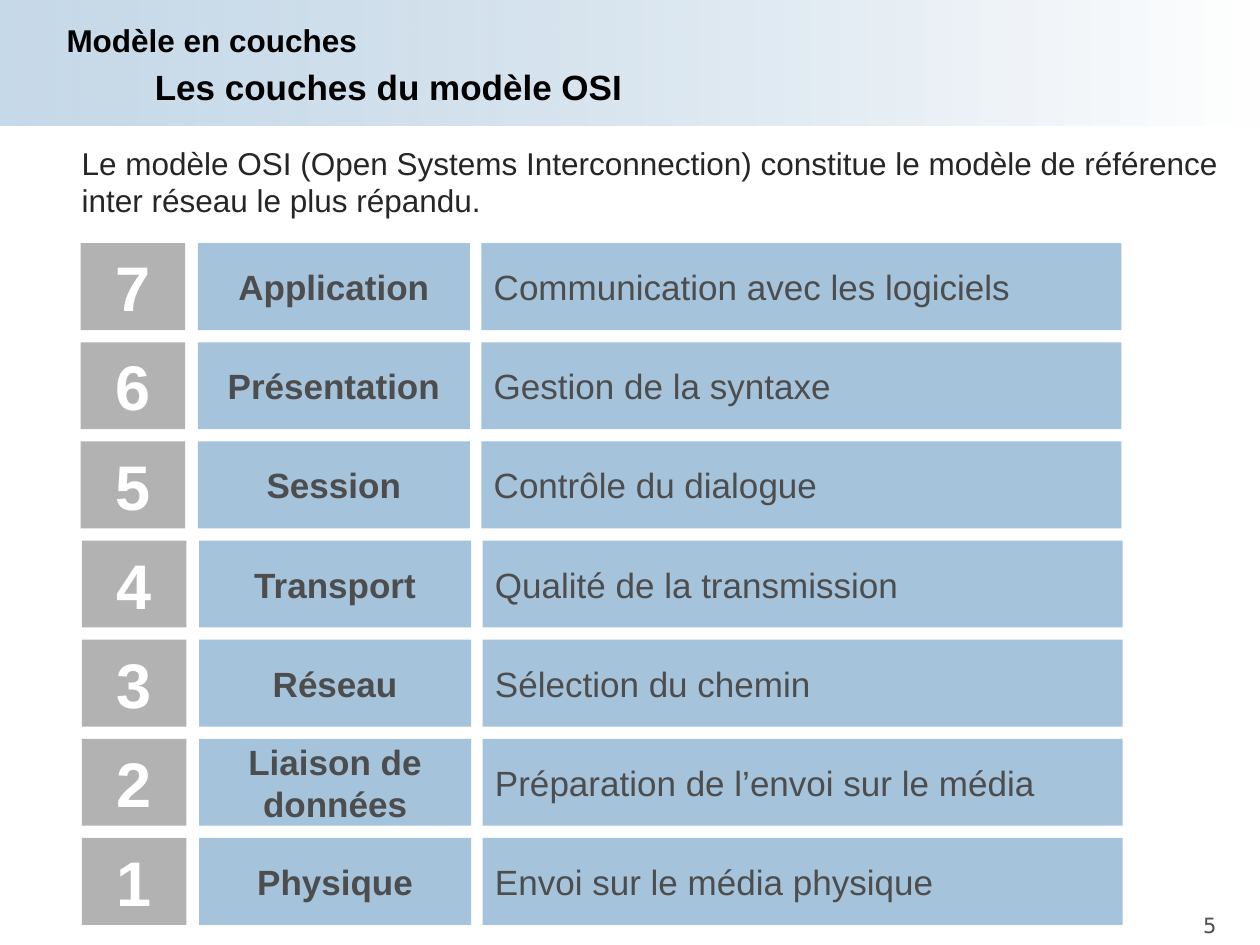
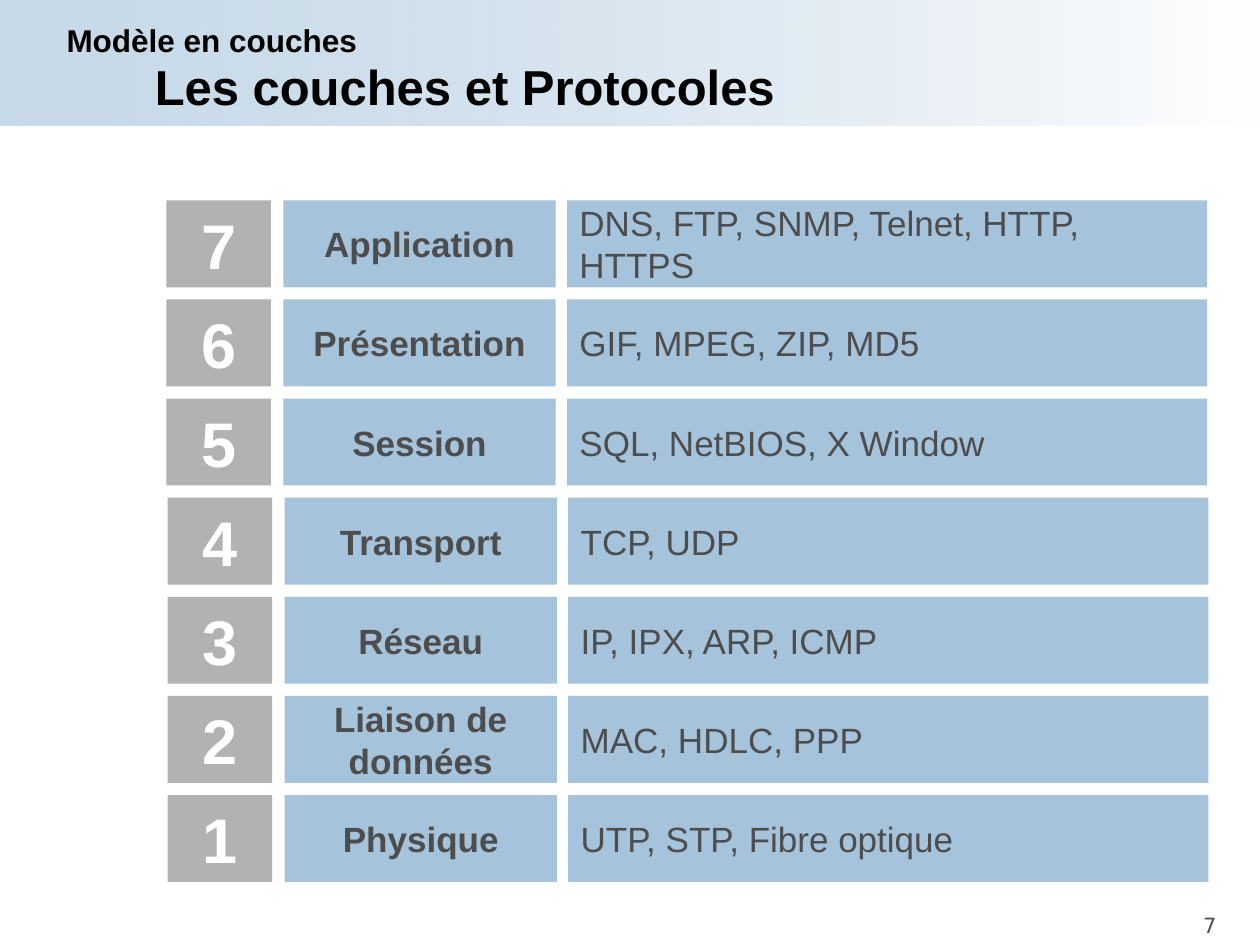
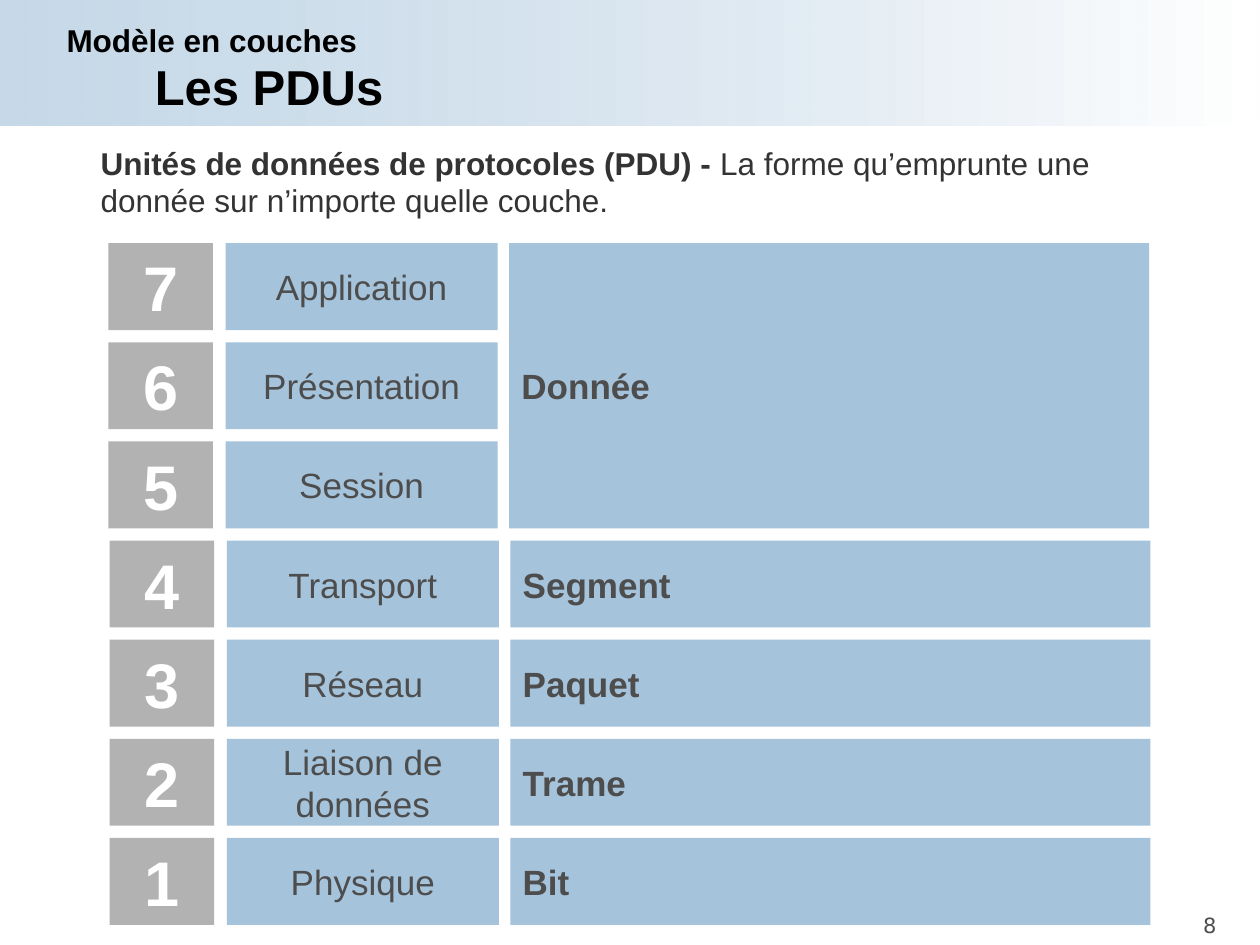
"""Build three slides on the OSI layers, their protocols and their PDUs."""
from lxml import etree
from pptx import Presentation
from pptx.dml.color import RGBColor
from pptx.enum.shapes import MSO_SHAPE
from pptx.enum.text import MSO_ANCHOR, PP_ALIGN
from pptx.oxml.ns import qn
from pptx.util import Inches, Pt

RECTANGLE = MSO_SHAPE.RECTANGLE
TOP, MIDDLE = MSO_ANCHOR.TOP, MSO_ANCHOR.MIDDLE
LEFT, CENTER = PP_ALIGN.LEFT, PP_ALIGN.CENTER

COLORS = {
    "layer": "A5C3DB",
    "number": "B2B2B2",
    "white": "FFFFFF",
    "title": "000000",
    "label": "4D4D4D",
    "intro_dark": "262626",
    "intro_soft": "333333",
}
LAYERS = ["Application", "Présentation", "Session", "Transport",
          "Réseau", "Liaison de données", "Physique"]
NUMBER_COLUMN, NAME_COLUMN, DETAIL_COLUMN = (0, 0.83), (0.93, 2.16), (3.18, 5.08)
ROW_HEIGHT = 0.69
ROW_PITCH = 4.72 / (len(LAYERS) - 1)
LOWER_SHIFT = 0.01
FIRST_LOWER_ROW = 3

SLIDES = [
    {
        "title": "Les couches du modèle OSI", "title_size": 20, "page": "5",
        "origin": (0.64, 1.93), "bold_names": True,
        "intro": ("", "Le modèle OSI (Open Systems Interconnection) constitue le modèle "
                      "de référence inter réseau le plus répandu."),
        "intro_box": (0.55, 1.09, 9.45, 0.71), "intro_color": "intro_dark",
        "details": [("Communication avec les logiciels", 1), ("Gestion de la syntaxe", 1),
                    ("Contrôle du dialogue", 1), ("Qualité de la transmission", 1),
                    ("Sélection du chemin", 1), ("Préparation de l’envoi sur le média", 1),
                    ("Envoi sur le média physique", 1)],
    },
    {
        "title": "Les couches et Protocoles", "title_size": 28, "page": "7",
        "origin": (1.32, 1.59), "bold_names": True,
        "intro": None,
        "details": [("DNS, FTP, SNMP, Telnet, HTTP, HTTPS", 1), ("GIF, MPEG, ZIP, MD5", 1),
                    ("SQL, NetBIOS, X Window", 1), ("TCP, UDP", 1),
                    ("IP, IPX, ARP, ICMP", 1), ("MAC, HDLC, PPP", 1),
                    ("UTP, STP, Fibre optique", 1)],
    },
    {
        "title": "Les PDUs", "title_size": 28, "page": "8",
        "origin": (0.86, 1.93), "bold_names": False,
        "intro": ("Unités de données de protocoles (PDU) - ",
                  "La forme qu’emprunte une donnée sur n’importe quelle couche."),
        "intro_box": (0.7, 1.09, 8.91, 0.71), "intro_color": "intro_soft",
        "details": [("Donnée", 3), ("Segment", 1), ("Paquet", 1), ("Trame", 1), ("Bit", 1)],
    },
]


def add_text(slide, box, text, size, color, bold=False, font="Arial", anchor=TOP,
             align=LEFT, fill=None):
    """Add text in a filled rectangle, or in a plain text box when fill is None."""
    bounds = [Inches(length) for length in box]
    if fill:
        holder = slide.shapes.add_shape(RECTANGLE, *bounds)
        holder.shadow.inherit = False
        holder.fill.solid()
        holder.fill.fore_color.rgb = RGBColor.from_string(COLORS[fill])
        holder.line.fill.background()
    else:
        holder = slide.shapes.add_textbox(*bounds)
    frame = holder.text_frame
    frame.word_wrap = True
    frame.vertical_anchor = anchor
    frame.text = text
    paragraph = frame.paragraphs[0]
    paragraph.alignment = align
    paragraph.font.size = Pt(size)
    for run in paragraph.runs:
        run.font.name = font
        run.font.size = Pt(size)
        run.font.bold = bold
        run.font.color.rgb = RGBColor.from_string(COLORS[color])
    return paragraph


presentation = Presentation()
presentation.slide_width, presentation.slide_height = Inches(10), Inches(7.5)

for content in SLIDES:
    slide = presentation.slides.add_slide(presentation.slide_layouts[6])

    band = slide.shapes.add_shape(RECTANGLE, 0, 0, presentation.slide_width, Inches(1))
    band.shadow.inherit = False
    band.line.fill.background()
    band.fill.gradient()
    band.fill.gradient_angle = 0
    for stop, shade in zip(band.fill.gradient_stops, ("layer", "white")):
        stop.color.rgb = RGBColor.from_string(COLORS[shade])
    first_shade = next(band.element.iter(qn("a:srgbClr")))
    etree.SubElement(first_shade, qn("a:alpha")).set("val", "62000")

    add_text(slide, (0.43, 0.12, 8.94, 0.4), "Modèle en couches", 18, "title", bold=True)
    add_text(slide, (1.13, 0.44, 8.45, 0.49), content["title"], content["title_size"],
             "title", bold=True, anchor=MIDDLE)
    add_text(slide, (9.45, 7.19, 0.55, 0.3), content["page"], 12, "label", font="DejaVu Sans")

    if content["intro"]:
        term, definition = content["intro"]
        intro = add_text(slide, content["intro_box"], term + definition, 18,
                         content["intro_color"])
        if term:
            lead = intro.runs[0]
            lead.text = term
            lead.font.bold = True
            rest = intro.add_run()
            rest.text = definition
            rest.font.name, rest.font.size = "Arial", Pt(18)
            rest.font.color.rgb = RGBColor.from_string(COLORS[content["intro_color"]])

    left, top = content["origin"]
    cells = []
    for row, layer in enumerate(LAYERS):
        cells.append((row, 1, NUMBER_COLUMN, str(len(LAYERS) - row), 36, "white", True,
                      CENTER, "number"))
        cells.append((row, 1, NAME_COLUMN, layer, 20, "label", content["bold_names"],
                      CENTER, "layer"))
    row = 0
    for detail, span in content["details"]:
        cells.append((row, span, DETAIL_COLUMN, detail, 20, "label",
                      not content["bold_names"], LEFT, "layer"))
        row += span

    for row, span, (offset, width), text, size, color, bold, align, fill in cells:
        shift = LOWER_SHIFT if row >= FIRST_LOWER_ROW else 0
        box = (left + offset + shift, top + row * ROW_PITCH, width,
               ROW_HEIGHT + (span - 1) * ROW_PITCH)
        add_text(slide, box, text, size, color, bold, anchor=MIDDLE, align=align, fill=fill)

presentation.save("out.pptx")
